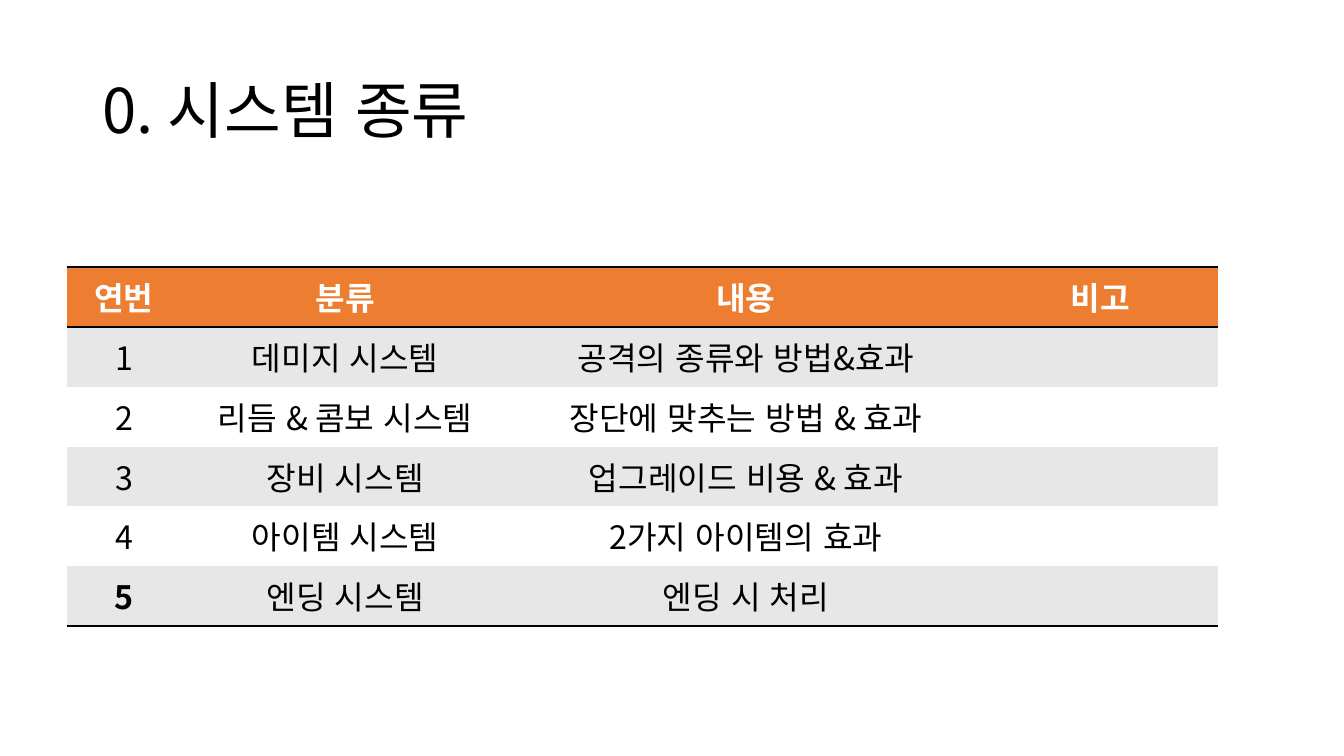
from dataclasses import dataclass

from lxml.etree import SubElement
from pptx import Presentation
from pptx.dml.color import RGBColor
from pptx.enum.lang import MSO_LANGUAGE_ID
from pptx.enum.text import MSO_ANCHOR, PP_ALIGN
from pptx.oxml.ns import qn
from pptx.util import Inches, Pt


@dataclass(frozen=True)
class Theme:
    font: str = "Noto Sans CJK KR"
    title_size: int = 44
    table_size: int = 23
    rule_width: int = 2
    ink: str = "000000"
    header_ink: str = "FFFFFF"
    header_fill: str = "ED7D31"
    band_fills: tuple = ("E7E7E7", "FFFFFF")


THEME = Theme()
NO_STYLE_NO_GRID = "{2D5ABB26-0587-4C30-8999-92F81FD0307C}"
COLUMN_WIDTHS = (1.14, 3.25, 4.7, 2.33)
SYSTEM_ROWS = (
    ("연번", "분류", "내용", "비고"),
    ("1", "데미지 시스템", "공격의 종류와 방법&효과", ""),
    ("2", "리듬 & 콤보 시스템", "장단에 맞추는 방법 & 효과", ""),
    ("3", "장비 시스템", "업그레이드 비용 & 효과", ""),
    ("4", "아이템 시스템", "2가지 아이템의 효과", ""),
    ("5", "엔딩 시스템", "엔딩 시 처리", ""),
)


def apply_format(target, values):
    for name, value in values.items():
        setattr(target, name, value)


def write_text(paragraph, text, size, color, bold=False):
    run = paragraph.add_run()
    run.text = text
    apply_format(run.font, {
        "name": THEME.font, "size": Pt(size), "bold": bold,
        "language_id": MSO_LANGUAGE_ID.KOREAN,
    })
    run.font.color.rgb = RGBColor.from_string(color)
    # Korean glyphs take the East Asian typeface
    SubElement(run.font._element, qn("a:ea"), typeface=THEME.font)


def add_rule(cell, side):
    """Draw a border on one side of a cell, before its fill is set."""
    properties = cell._tc.get_or_add_tcPr()
    line = SubElement(properties, qn(f"a:ln{side}"), w=str(Pt(THEME.rule_width)))
    fill = SubElement(line, qn("a:solidFill"))
    SubElement(fill, qn("a:srgbClr"), val=THEME.ink)


def add_title(slide, left, top, width, height):
    box = slide.shapes.add_textbox(*map(Inches, (left, top, width, height)))
    apply_format(box.text_frame, {"word_wrap": True, "vertical_anchor": MSO_ANCHOR.MIDDLE})
    paragraph = box.text_frame.paragraphs[0]
    paragraph.line_spacing = 0.9
    write_text(paragraph, "0. 시스템 종류", THEME.title_size, THEME.ink)


def fill_cell(cell, text, row_index, column_index):
    is_header = row_index == 0
    is_last = row_index == len(SYSTEM_ROWS) - 1
    apply_format(cell, {
        "margin_left": Inches(0.13), "margin_right": Inches(0.13),
        "margin_top": Inches(0.06), "margin_bottom": Inches(0.06),
    })

    # Rules above and below the header, and below the last row
    if is_header:
        add_rule(cell, "T")
    if is_header or is_last:
        add_rule(cell, "B")

    # Header colour or alternating bands
    color = THEME.header_fill if is_header else THEME.band_fills[(row_index - 1) % 2]
    cell.fill.solid()
    cell.fill.fore_color.rgb = RGBColor.from_string(color)

    if text:
        paragraph = cell.text_frame.paragraphs[0]
        paragraph.alignment = PP_ALIGN.CENTER
        ink = THEME.header_ink if is_header else THEME.ink
        bold = is_header or (is_last and column_index == 0)
        write_text(paragraph, text, THEME.table_size, ink, bold)


def add_system_table(slide, left, top, height):
    size = (sum(COLUMN_WIDTHS), height)
    frame = slide.shapes.add_table(
        len(SYSTEM_ROWS), len(COLUMN_WIDTHS), *map(Inches, (left, top, *size)))
    table = frame.table
    apply_format(table, {"first_row": False, "horz_banding": False})
    table._tbl.tblPr.find(qn("a:tableStyleId")).text = NO_STYLE_NO_GRID

    for column, width in zip(table.columns, COLUMN_WIDTHS):
        column.width = Inches(width)
    for row_index, texts in enumerate(SYSTEM_ROWS):
        table.rows[row_index].height = Inches(height / len(SYSTEM_ROWS))
        for column_index, text in enumerate(texts):
            fill_cell(table.cell(row_index, column_index), text, row_index, column_index)


def main():
    presentation = Presentation()
    apply_format(presentation, {"slide_width": Inches(13.33), "slide_height": Inches(7.5)})
    slide = presentation.slides.add_slide(presentation.slide_layouts[6])
    add_title(slide, 0.92, 0.4, 11.5, 1.45)
    add_system_table(slide, 0.66, 2.65, 3.56)
    presentation.save("out.pptx")


if __name__ == "__main__":
    main()
